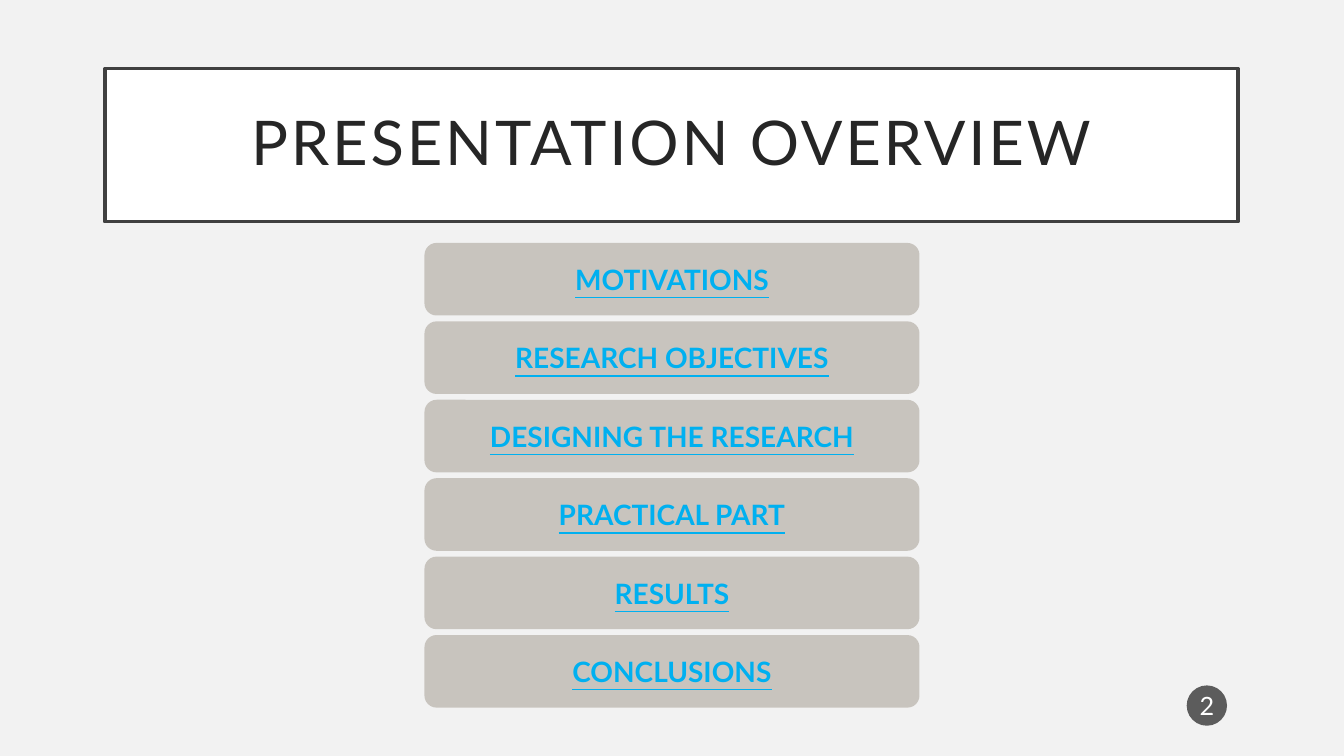
import pptx
import pptx.util
import pptx.dml.color
import pptx.enum.shapes
import pptx.enum.text
import pptx.oxml
import pptx.oxml.ns
import lxml.etree

RGBColor = pptx.dml.color.RGBColor
Inches = pptx.util.Inches
Pt = pptx.util.Pt
SHAPES = pptx.enum.shapes.MSO_SHAPE

BACKGROUND = RGBColor(0xF2, 0xF2, 0xF2)
WHITE = RGBColor(0xFF, 0xFF, 0xFF)
FRAME = RGBColor(0x40, 0x40, 0x40)
TITLE_INK = RGBColor(0x26, 0x26, 0x26)
BADGE = RGBColor(0x1D, 0x1D, 0x1D)
BAR = RGBColor(0xA0, 0x98, 0x8C)
LINK = RGBColor(0x00, 0xB0, 0xF0)
LINK_EDGE = RGBColor(0x00, 0x70, 0xC0)

FONT = "Lato"
SLIDE_WIDTH, SLIDE_HEIGHT = 13.33, 7.5
TOPICS = [
    "MOTIVATIONS",
    "RESEARCH OBJECTIVES",
    "DESIGNING THE RESEARCH",
    "PRACTICAL PART",
    "RESULTS",
    "CONCLUSIONS",
]
BAR_WIDTH, BAR_HEIGHT = 4.91, 0.72
BAR_LEFT = (SLIDE_WIDTH - BAR_WIDTH) / 2
FIRST_BAR_TOP, LAST_BAR_TOP = 2.41, 6.3
BAR_PITCH = (LAST_BAR_TOP - FIRST_BAR_TOP) / (len(TOPICS) - 1)


def add_panel(slide, preset, left, top, width, height, fill, opacity=100):
    panel = slide.shapes.add_shape(
        preset, Inches(left), Inches(top), Inches(width), Inches(height)
    )
    panel.shadow.inherit = False
    panel.fill.solid()
    panel.fill.fore_color.rgb = fill
    panel.line.fill.background()
    if opacity < 100:
        color = panel.fill._xPr.find(".//" + pptx.oxml.ns.qn("a:srgbClr"))
        alpha = lxml.etree.SubElement(color, pptx.oxml.ns.qn("a:alpha"))
        alpha.set("val", str(opacity * 1000))
    return panel


def outline_text(properties, color, width):
    edge = pptx.oxml.parse_xml(
        f'<a:ln {pptx.oxml.ns.nsdecls("a")} w="{Pt(width)}">'
        f'<a:solidFill><a:srgbClr val="{color}"/></a:solidFill></a:ln>'
    )
    properties.insert(0, edge)


def write_text(panel, text, size, color, bold=False, underline=False,
               spacing=0, line_spacing=None, edge=None, insets=(0.1, 0.05)):
    frame = panel.text_frame
    frame.word_wrap = True
    frame.vertical_anchor = pptx.enum.text.MSO_ANCHOR.MIDDLE
    frame.margin_left = frame.margin_right = Inches(insets[0])
    frame.margin_top = frame.margin_bottom = Inches(insets[1])
    paragraph = frame.paragraphs[0]
    paragraph.alignment = pptx.enum.text.PP_ALIGN.CENTER
    paragraph.line_spacing = line_spacing
    run = paragraph.add_run()
    run.text = text
    run.font.name = FONT
    run.font.size = Pt(size)
    run.font.bold = bold
    run.font.underline = underline
    run.font.color.rgb = color
    properties = run._r.get_or_add_rPr()
    if spacing:
        properties.set("spc", str(spacing * 100))
    if edge:
        outline_text(properties, edge, 0.75)


def add_title(slide, text):
    title = add_panel(slide, SHAPES.RECTANGLE, 1.04, 0.68, 11.24, 1.52, WHITE)
    title.line.color.rgb = FRAME
    title.line.width = Pt(2.5)
    write_text(title, text, 44, TITLE_INK, spacing=2, line_spacing=0.9,
               insets=(0.2, 0.2))


def add_page_badge(slide, number):
    badge = add_panel(slide, SHAPES.OVAL, 11.77, 6.8, 0.4, 0.4, BADGE, opacity=70)
    write_text(badge, number, 18, WHITE, insets=(0.02, 0.05))


def add_topic_bar(slide, row, topic):
    top = FIRST_BAR_TOP + row * BAR_PITCH
    bar = add_panel(slide, SHAPES.ROUNDED_RECTANGLE, BAR_LEFT, top,
                    BAR_WIDTH, BAR_HEIGHT, BAR, opacity=50)
    write_text(bar, topic, 20, LINK, bold=True, underline=True, edge=LINK_EDGE)


def main():
    deck = pptx.Presentation()
    deck.slide_width = Inches(SLIDE_WIDTH)
    deck.slide_height = Inches(SLIDE_HEIGHT)
    slide = deck.slides.add_slide(deck.slide_layouts[6])
    slide.background.fill.solid()
    slide.background.fill.fore_color.rgb = BACKGROUND
    add_title(slide, "PRESENTATION OVERVIEW")
    add_page_badge(slide, "2")
    for row, topic in enumerate(TOPICS):
        add_topic_bar(slide, row, topic)
    deck.save("out.pptx")


main()
